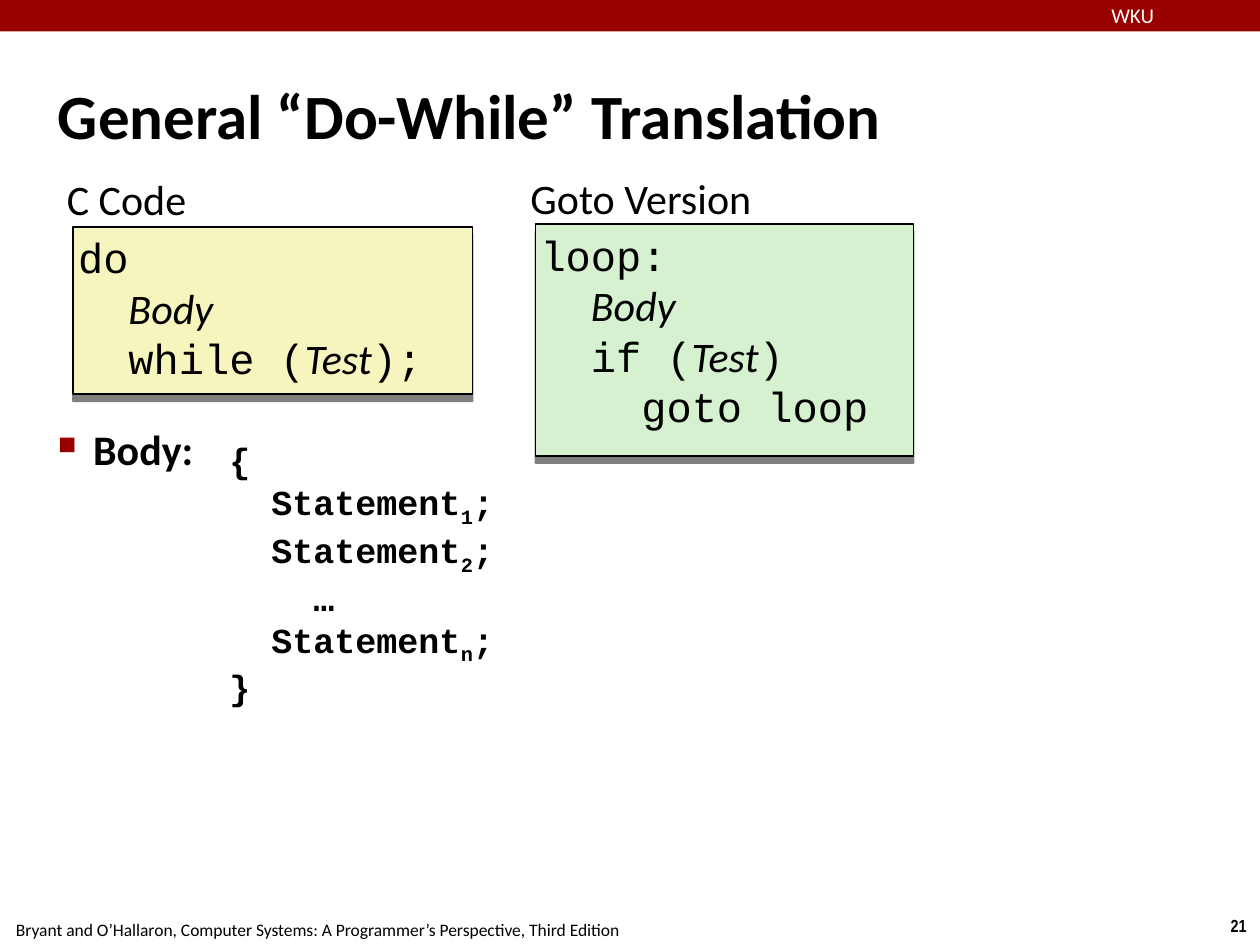
from dataclasses import dataclass

from lxml import etree
from pptx import Presentation
from pptx.dml.color import RGBColor
from pptx.enum import shapes, text
from pptx.oxml import ns
from pptx.util import Inches, Pt


@dataclass(frozen=True)
class Theme:
    black: str = "000000"
    white: str = "FFFFFF"
    red: str = "990000"
    yellow: str = "F6F5BD"
    green: str = "D5F1CF"
    sans: str = "Calibri"
    narrow: str = "Arial Narrow"
    mono: str = "Courier New"
    title: int = 36
    body: int = 24
    code: int = 20
    banner: int = 12
    footer: int = 10
    inset: float = 0.04


T = Theme()
INDENT = "  "
CODE_STYLES = {
    "code": {"name": T.mono},
    "slot": {"name": T.sans, "italic": True},
    "sub": {"name": T.mono, "baseline": -25000},
}


def add_run(p, words, size, name=T.sans, color=T.black, bold=False, italic=False, baseline=0):
    r = p.add_run()
    r.text = words
    font = r.font
    font.size, font.name, font.bold, font.italic = Pt(size), name, bold, italic
    font.color.rgb = RGBColor.from_string(color)
    if baseline:
        r._r.get_or_add_rPr().set("baseline", str(baseline))


def prepare_frame(sp, inset=T.inset, wrap=True, anchor=text.MSO_ANCHOR.TOP):
    tf = sp.text_frame
    tf.word_wrap = wrap
    tf.auto_size = text.MSO_AUTO_SIZE.NONE
    tf.vertical_anchor = anchor
    tf.margin_left = tf.margin_right = Inches(inset)
    tf.margin_top = tf.margin_bottom = Inches(inset)
    return tf


def add_label(s, box, words, size, align=text.PP_ALIGN.LEFT, inset=T.inset, wrap=True, **style):
    sp = s.shapes.add_textbox(*map(Inches, box))
    p = prepare_frame(sp, inset, wrap).paragraphs[0]
    p.alignment = align
    add_run(p, words, size, **style)
    return p


def fill_code(sp, lines, size, bold=False):
    tf = prepare_frame(sp)
    for i, line in enumerate(lines):
        p = tf.paragraphs[0] if i == 0 else tf.add_paragraph()
        p.alignment = text.PP_ALIGN.LEFT
        for kind, words in line:
            add_run(p, words, size, bold=bold, **CODE_STYLES[kind])


def add_rect(s, box, color):
    sp = s.shapes.add_shape(shapes.MSO_SHAPE.RECTANGLE, *map(Inches, box))
    sp.shadow.inherit = False
    sp.fill.solid()
    sp.fill.fore_color.rgb = RGBColor.from_string(color)
    sp.line.fill.background()
    return sp


def add_drop_shadow(sp):
    effects = sp._element.spPr.find(ns.qn("a:effectLst"))
    shadow = etree.SubElement(effects, ns.qn("a:outerShdw"), blurRad="0",
                              dist=str(Pt(4)), dir="5400000", algn="ctr", rotWithShape="0")
    color = etree.SubElement(shadow, ns.qn("a:srgbClr"), val=T.black)
    etree.SubElement(color, ns.qn("a:alpha"), val="50000")


def add_code_panel(s, box, color, lines):
    sp = add_rect(s, box, color)
    sp.line.color.rgb = RGBColor.from_string(T.black)
    sp.line.width = Pt(1)
    add_drop_shadow(sp)
    fill_code(sp, lines, T.body)


def add_bullet(p, indent):
    pPr = p._p.get_or_add_pPr()
    pPr.set("marL", str(Inches(indent)))
    pPr.set("indent", str(-Inches(indent)))
    color = etree.SubElement(pPr, ns.qn("a:buClr"))
    etree.SubElement(color, ns.qn("a:srgbClr"), val=T.red)
    etree.SubElement(pPr, ns.qn("a:buSzPct"), val="60000")
    etree.SubElement(pPr, ns.qn("a:buChar"), char="■")


def set_title(s, box, words):
    sp = s.shapes.title
    sp.left, sp.top, sp.width, sp.height = map(Inches, box)
    p = prepare_frame(sp, anchor=text.MSO_ANCHOR.MIDDLE).paragraphs[0]
    p.alignment = text.PP_ALIGN.LEFT
    add_run(p, words, T.title, bold=True)


def add_page_frame(s):
    add_label(s, (9.66, 7.22, 0.34, 0.27), "21", T.footer, text.PP_ALIGN.CENTER,
              wrap=False, name=T.narrow, bold=True)
    add_label(s, (-0.02, 7.25, 5.08, 0.27),
              "Bryant and O’Hallaron, Computer Systems: A Programmer’s Perspective, Third Edition",
              T.footer, text.PP_ALIGN.CENTER, wrap=False)
    add_rect(s, (0, 0, 10.01, 0.25), T.red)
    add_label(s, (8.82, 0.02, 1.44, 0.19), "WKU", T.banner, inset=0, color=T.white)


def statement(index):
    return [("code", INDENT + "Statement"), ("sub", index), ("code", ";")]


def main():
    prs = Presentation()
    prs.slide_width, prs.slide_height = Inches(10), Inches(7.5)
    s = prs.slides.add_slide(prs.slide_layouts[5])

    add_page_frame(s)
    set_title(s, (0.42, 0.28, 9.17, 1.25), "General “Do-While” Translation")

    body = [("code", INDENT), ("slot", "Body")]
    add_label(s, (0.49, 1.34, 2.86, 0.49), "C Code", T.body)
    add_code_panel(s, (0.58, 1.8, 3.17, 1.33), T.yellow, [
        [("code", "do")],
        body,
        [("code", INDENT + "while ("), ("slot", "Test"), ("code", ");")],
    ])
    add_label(s, (4.17, 1.33, 2.53, 0.49), "Goto Version", T.body)
    add_code_panel(s, (4.25, 1.78, 3, 1.84), T.green, [
        [("code", "loop:")],
        body,
        [("code", INDENT + "if ("), ("slot", "Test"), ("code", ")")],
        [("code", INDENT * 2 + "goto loop")],
    ])

    add_bullet(add_label(s, (0.42, 3.32, 9.17, 4.15), "Body:", T.body, bold=True), 0.28)
    block = s.shapes.add_textbox(*map(Inches, (1.78, 3.44, 2.43, 2.47)))
    fill_code(block, [
        [("code", "{")],
        statement("1"),
        statement("2"),
        [("code", INDENT * 2 + "…")],
        statement("n"),
        [("code", "}")],
    ], T.code, bold=True)

    prs.save("out.pptx")


if __name__ == "__main__":
    main()
